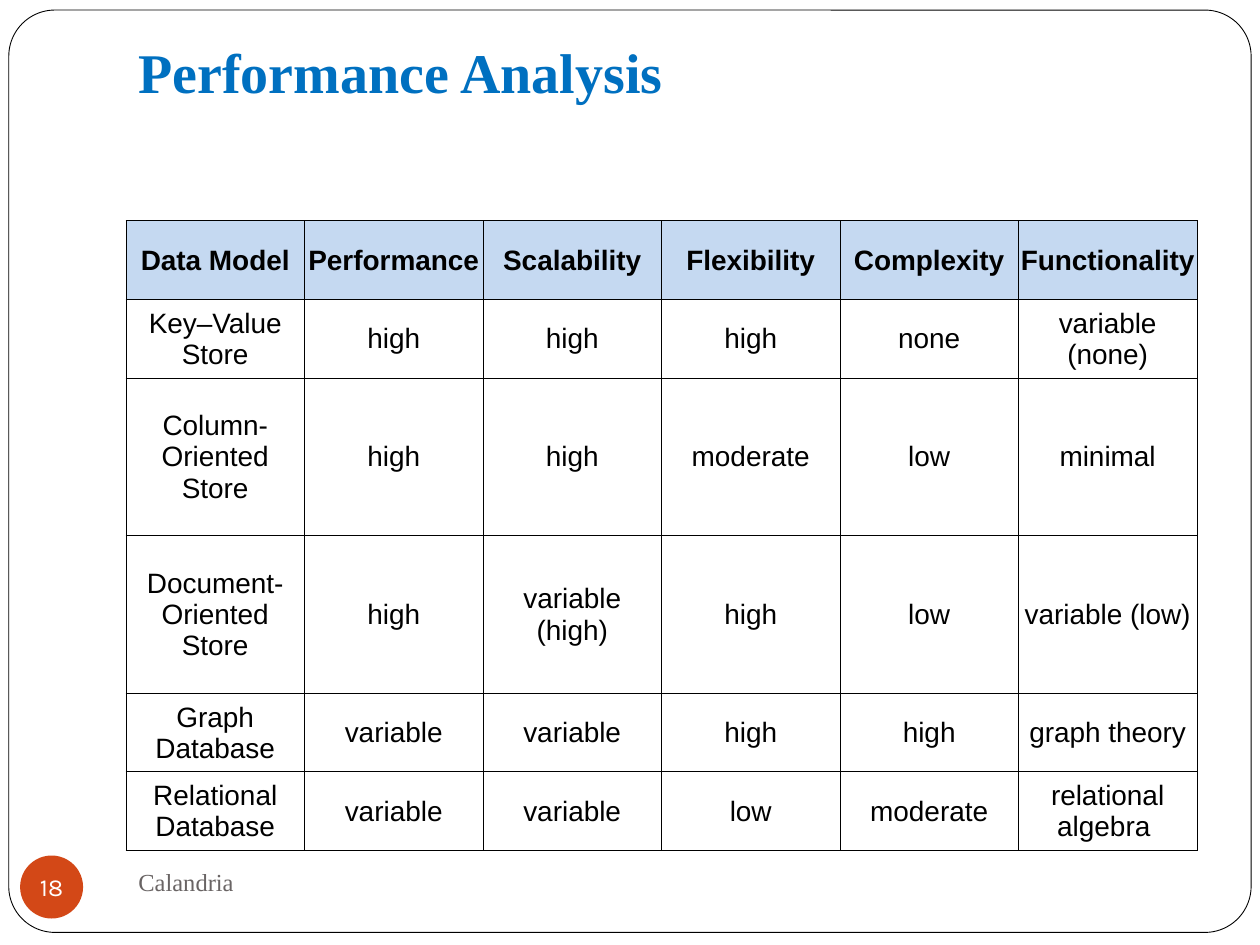
from dataclasses import dataclass

import pptx
import pptx.dml.color
import pptx.enum.shapes
import pptx.enum.text
import pptx.oxml
import pptx.oxml.ns
import pptx.util
from pptx.util import Inches

SHAPE = pptx.enum.shapes.MSO_SHAPE
ALIGN = pptx.enum.text.PP_ALIGN
MIDDLE = pptx.enum.text.MSO_ANCHOR.MIDDLE
TOP = pptx.enum.text.MSO_ANCHOR.TOP


@dataclass(frozen=True)
class TextStyle:
    font: str
    size: int
    color: str
    bold: bool = False


@dataclass(frozen=True)
class Theme:
    paper: str = "FFFFFF"
    ink: str = "000000"
    header_fill: str = "C5D9F1"
    badge_fill: str = "D34817"
    line_width: float = 0.5
    title: TextStyle = TextStyle("Times New Roman", 32, "0070C0", True)
    footer: TextStyle = TextStyle("Times New Roman", 14, "696464")
    badge: TextStyle = TextStyle("Karla", 14, "FFFFFF")
    header: TextStyle = TextStyle("Arial", 16, "000000", True)
    body: TextStyle = TextStyle("Arial", 16, "000000")


@dataclass(frozen=True)
class Box:
    left: float
    top: float
    width: float
    height: float

    def emu(self) -> tuple:
        return tuple(Inches(v) for v in (self.left, self.top, self.width, self.height))


@dataclass(frozen=True)
class Row:
    height: float
    cells: tuple


THEME = Theme()
SHORT, TALL = 0.625, 1.25
ROWS = (
    Row(SHORT, ("Data Model", "Performance", "Scalability", "Flexibility",
                "Complexity", "Functionality")),
    Row(SHORT, ("Key–Value Store", "high", "high", "high", "none", "variable (none)")),
    Row(TALL, ("Column-Oriented Store", "high", "high", "moderate", "low", "minimal")),
    Row(TALL, ("Document-Oriented Store", "high", "variable (high)", "high", "low",
               "variable (low)")),
    Row(SHORT, ("Graph Database", "variable", "variable", "high", "high", "graph theory")),
    Row(SHORT, ("Relational Database", "variable", "variable", "low", "moderate",
                "relational algebra ")),
)


def rgb(color: str) -> pptx.dml.color.RGBColor:
    return pptx.dml.color.RGBColor.from_string(color)


def write(tf, text: str, style: TextStyle, align=ALIGN.LEFT) -> None:
    p = tf.paragraphs[0]
    p.alignment = align
    r = p.add_run()
    r.text = text
    r.font.name = style.font
    r.font.size = pptx.util.Pt(style.size)
    r.font.bold = style.bold
    r.font.color.rgb = rgb(style.color)


def add_text(s, box: Box, text: str, style: TextStyle, anchor) -> None:
    tf = s.shapes.add_textbox(*box.emu()).text_frame
    tf.word_wrap = True
    tf.vertical_anchor = anchor
    write(tf, text, style)


def add_filled(s, kind, box: Box, fill: str):
    sp = s.shapes.add_shape(kind, *box.emu())
    sp.shadow.inherit = False
    sp.fill.solid()
    sp.fill.fore_color.rgb = rgb(fill)
    sp.line.fill.background()
    return sp


def add_borders(cell, color: str, width: float) -> None:
    tc_pr = cell._tc.get_or_add_tcPr()
    for side in ("lnL", "lnR", "lnT", "lnB"):
        tc_pr.append(pptx.oxml.parse_xml(
            f'<a:{side} {pptx.oxml.ns.nsdecls("a")} w="{pptx.util.Pt(width)}">'
            f'<a:solidFill><a:srgbClr val="{color}"/></a:solidFill></a:{side}>'))


def fill_cell(cell, text: str, is_header: bool) -> None:
    cell.margin_left = cell.margin_right = cell.margin_top = Inches(0.01)
    cell.margin_bottom = 0
    cell.vertical_anchor = MIDDLE
    add_borders(cell, THEME.ink, THEME.line_width)
    if is_header:
        cell.fill.solid()
        cell.fill.fore_color.rgb = rgb(THEME.header_fill)
    else:
        cell.fill.background()
    write(cell.text_frame, text, THEME.header if is_header else THEME.body, ALIGN.CENTER)


def add_grid(s, box: Box, rows: tuple) -> None:
    n_cols = len(rows[0].cells)
    table = s.shapes.add_table(len(rows), n_cols, *box.emu()).table
    table.horz_banding = False
    for col in table.columns:
        col.width = Inches(box.width / n_cols)
    for i, row in enumerate(rows):
        table.rows[i].height = Inches(row.height)
        for j, text in enumerate(row.cells):
            fill_cell(table.cell(i, j), text, i == 0)


def main() -> None:
    prs = pptx.Presentation()
    prs.slide_width, prs.slide_height = Inches(10), Inches(7.5)
    s = prs.slides.add_slide(prs.slide_layouts[6])

    # Rounded page frame
    frame = add_filled(s, SHAPE.ROUNDED_RECTANGLE, Box(0.07, 0.08, 9.86, 7.32), THEME.paper)
    frame.adjustments[0] = 0.05
    frame.line.color.rgb = rgb(THEME.ink)
    frame.line.width = pptx.util.Pt(THEME.line_width)

    # Footer and page number
    add_text(s, Box(1, 6.75, 4.33, 0.5), "Calandria", THEME.footer, MIDDLE)
    badge = add_filled(s, SHAPE.OVAL, Box(0.16, 6.79, 0.5, 0.5), THEME.badge_fill)
    tf = badge.text_frame
    tf.margin_left = tf.margin_right = tf.margin_top = tf.margin_bottom = 0
    tf.word_wrap = False
    tf.vertical_anchor = MIDDLE
    write(tf, "18", THEME.badge, ALIGN.CENTER)

    # Comparison table and title
    add_grid(s, Box(1, 1.75, 8.5, 5), ROWS)
    add_text(s, Box(1, 0.25, 8, 0.64), "Performance Analysis", THEME.title, TOP)

    prs.save("out.pptx")


if __name__ == "__main__":
    main()
